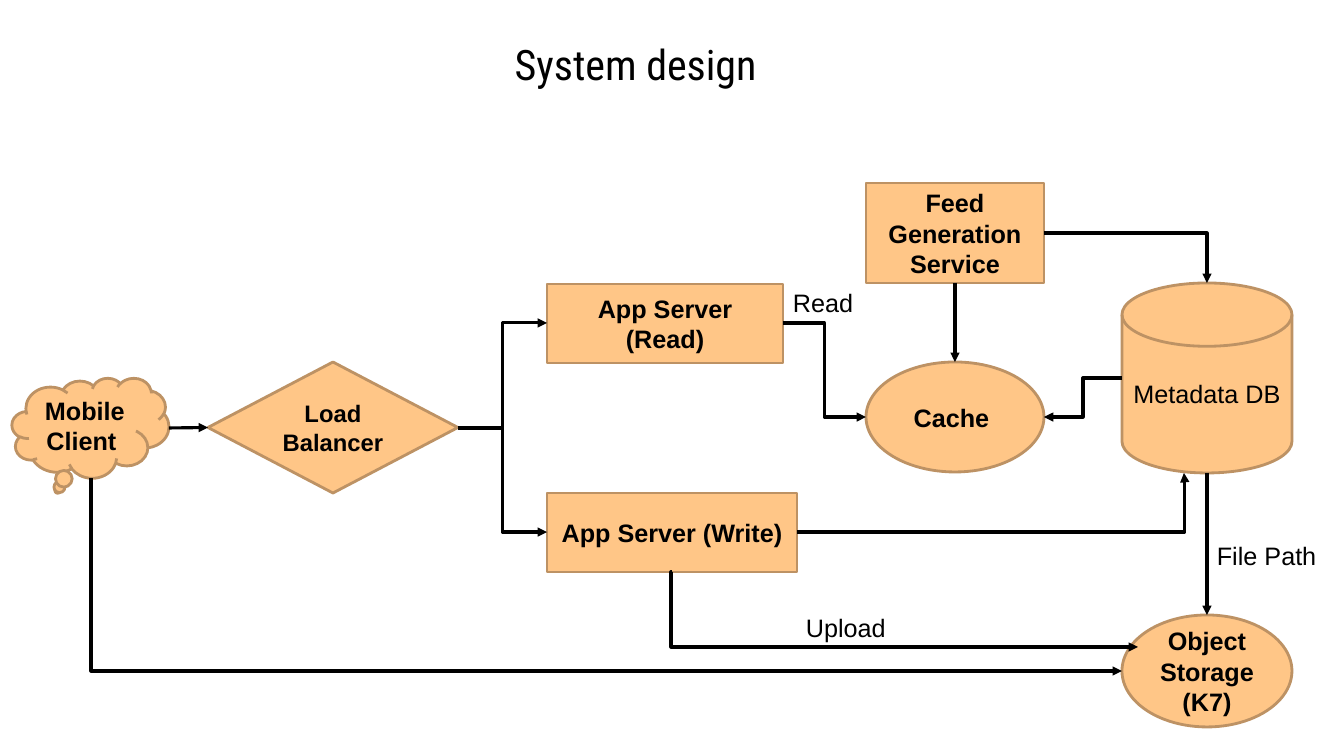
from lxml import etree
from pptx import Presentation
from pptx import util as u
from pptx.dml.color import RGBColor
from pptx.enum import shapes, text
from pptx.oxml import ns

PX = 914400 / 100.8
INK, FILL, EDGE = "000000", "FFC687", "BD9264"
SHAPE = shapes.MSO_SHAPE


def px(value):
    """Turn px into EMU."""
    return u.Emu(round(value * PX))


def colour(code):
    """Turn a hex string into a colour."""
    return RGBColor.from_string(code)


def style(para, size, name="Arial", bold=False, align=text.PP_ALIGN.LEFT):
    """Set the alignment and font of a paragraph."""
    para.alignment = align
    para.font.size = u.Pt(size)
    para.font.name = name
    para.font.bold = bold
    para.font.color.rgb = colour(INK)


def add_title(page, words, left, top, width, height):
    """Place and format the title placeholder."""
    title = page.shapes.title
    title.left, title.top, title.width, title.height = map(px, (left, top, width, height))
    frame = title.text_frame
    frame.text = words
    frame.auto_size = text.MSO_AUTO_SIZE.NONE
    frame.vertical_anchor = text.MSO_ANCHOR.BOTTOM
    frame.margin_left = frame.margin_right = u.Inches(0.1)
    frame.margin_top = frame.margin_bottom = u.Inches(0.1)
    style(frame.paragraphs[0], 30, "Roboto Condensed")


def add_node(page, kind, words, left, top, width, height, size=18, bold=True):
    """Draw one labelled component of the system."""
    node = page.shapes.add_shape(kind, *map(px, (left, top, width, height)))
    node.shadow.inherit = False
    node.fill.solid()
    node.fill.fore_color.rgb = colour(FILL)
    node.line.color.rgb = colour(EDGE)
    node.line.width = u.Pt(2)
    frame = node.text_frame
    frame.text = words
    frame.word_wrap = True
    frame.vertical_anchor = text.MSO_ANCHOR.MIDDLE
    style(frame.paragraphs[0], size, bold=bold, align=text.PP_ALIGN.CENTER)
    return node


def add_label(page, words, left, top, width):
    """Write the caption of an arrow."""
    box = page.shapes.add_textbox(*map(px, (left, top, width, 40)))
    box.text_frame.text = words
    box.text_frame.word_wrap = False
    style(box.text_frame.paragraphs[0], 18)


def add_arrow(page, start, end, kind=shapes.MSO_CONNECTOR.STRAIGHT):
    """Draw a black connector with an arrowhead at its end."""
    arrow = page.shapes.add_connector(kind, *map(px, (*start, *end)))
    arrow.line.color.rgb = colour(INK)
    arrow.line.width = u.Pt(2.25)
    etree.SubElement(arrow.line._get_or_add_ln(), ns.qn("a:tailEnd"), type="triangle")
    etree.SubElement(arrow._element.spPr, ns.qn("a:effectLst"))
    return arrow


def add_elbow(page, start, end, bend=0.5):
    """Draw a bent arrow that turns at a share of its width, or once if bend is None."""
    arrow = add_arrow(page, start, end, shapes.MSO_CONNECTOR.ELBOW)
    geometry = arrow._element.spPr.find(ns.qn("a:prstGeom"))
    if bend is None:
        geometry.set("prst", "bentConnector2")
        return
    guides = geometry.find(ns.qn("a:avLst"))
    etree.SubElement(guides, ns.qn("a:gd"), name="adj1", fmla=f"val {round(bend * 100000)}")


def main():
    """Build the system design slide."""
    deck = Presentation()
    deck.slide_width, deck.slide_height = px(1344), px(756)
    page = deck.slides.add_slide(deck.slide_layouts[5])
    add_title(page, " System design", 495, 17, 287, 82)

    add_node(page, SHAPE.CLOUD_CALLOUT, "Mobile Client ", 12, 378, 157, 100)
    balancer = add_node(page, SHAPE.DIAMOND, "Load Balancer", 208, 362, 250, 131, size=17)
    add_node(page, SHAPE.RECTANGLE, "App Server (Read)", 547, 284, 236, 79)
    add_node(page, SHAPE.RECTANGLE, "App Server (Write)", 547, 493, 250, 79)
    add_node(page, SHAPE.FLOWCHART_MAGNETIC_DISK, "Metadata DB", 1122, 283, 170, 190, bold=False)
    feed = add_node(page, SHAPE.RECTANGLE, "Feed Generation Service", 866, 183, 178, 100)
    storage = add_node(page, SHAPE.OVAL, "Object Storage (K7)", 1122, 615, 170, 112)
    cache = add_node(page, SHAPE.OVAL, "Cache ", 866, 362, 178, 110)

    add_arrow(page, (169, 428), (208, 428)).end_connect(balancer, 1)
    refresh = add_arrow(page, (955, 283), (955, 362))
    refresh.begin_connect(feed, 2)
    refresh.end_connect(cache, 0)
    add_arrow(page, (1207, 473), (1207, 615)).end_connect(storage, 0)

    for server_middle in (532, 323):
        add_elbow(page, (458, 428), (547, server_middle))
    add_elbow(page, (783, 323), (866, 417))
    add_elbow(page, (1122, 378), (1044, 417))
    add_elbow(page, (1044, 233), (1207, 283), bend=None)
    add_elbow(page, (797, 532), (1184, 473), bend=1.002)
    add_elbow(page, (672, 572), (1138, 647), bend=-0.002)
    add_elbow(page, (91, 478), (1122, 671), bend=0)

    add_label(page, "Read", 783, 282, 82)
    add_label(page, "Upload", 796, 607, 101)
    add_label(page, "File Path", 1207, 535, 121)
    deck.save("out.pptx")


if __name__ == "__main__":
    main()
